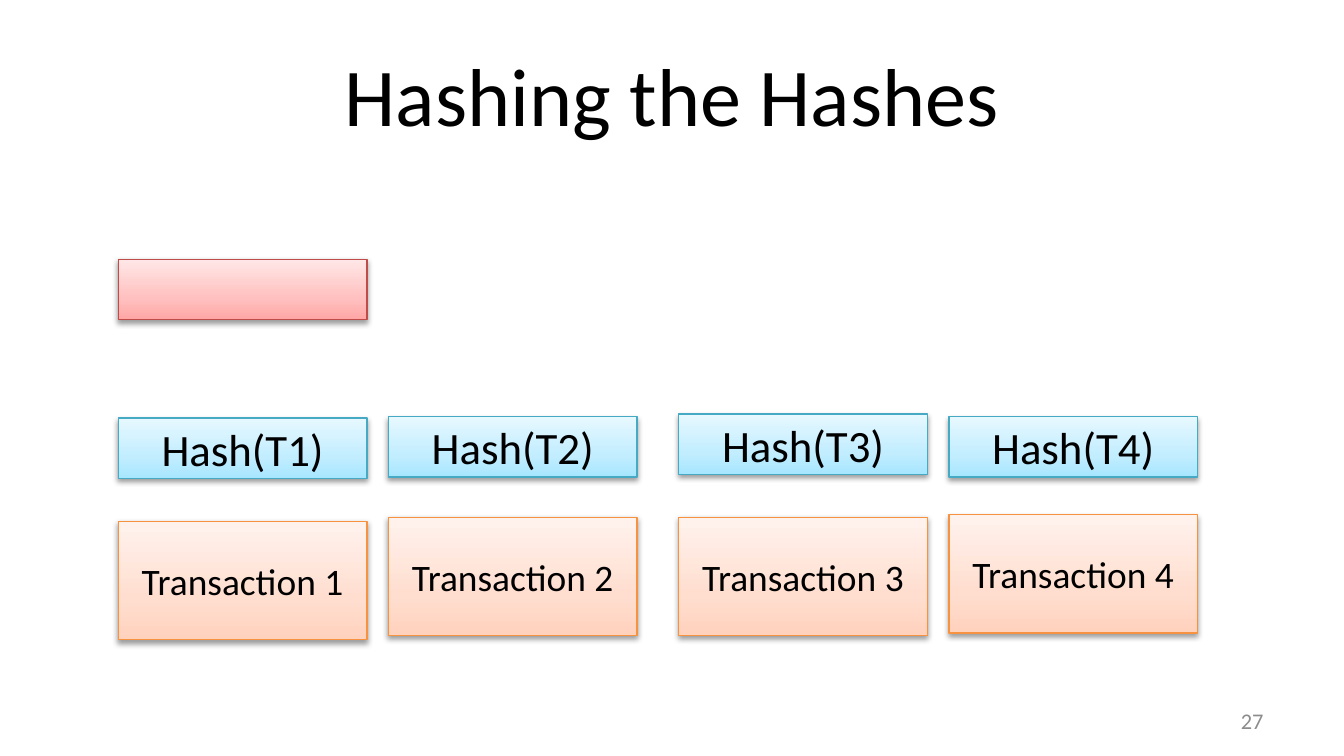
from lxml.etree import SubElement
from pptx import Presentation
from pptx.dml.color import RGBColor
from pptx.enum.shapes import MSO_SHAPE
from pptx.enum.text import MSO_ANCHOR, PP_ALIGN
from pptx.oxml.ns import qn
from pptx.util import Inches, Pt

# Gradient colours run from the bottom of a box to its top
ORANGE = {"stops": ("FFD2BD", "FFDED0", "FFF2ED"), "edge": "F69240"}
BLUE = {"stops": ("A7E6FF", "C1EDFF", "E7F8FF"), "edge": "46AAC5"}
RED = {"stops": ("FFA6A5", "FFC0BF", "FFE7E7"), "edge": "BF4C48"}
STOP_POSITIONS = (0, 35, 100)

SLIDE_WIDTH = 10
COLUMNS = (0.88, 2.89, 5.05, 7.06)
TRANSACTION_TOPS = (3.88, 3.85, 3.85, 3.83)
HASH_TOPS = (3.11, 3.1, 3.08, 3.1)
BOX_WIDTH, TRANSACTION_HEIGHT, HASH_HEIGHT = 1.85, 0.88, 0.45


def rgb(value):
    return RGBColor.from_string(value)


def add_xml(parent, tag, **attributes):
    values = {name: str(value) for name, value in attributes.items()}
    return SubElement(parent, qn(tag), values)


def write_text(shape, text, size, font, color="000000", align=PP_ALIGN.CENTER):
    frame = shape.text_frame
    frame.word_wrap = True
    frame.vertical_anchor = MSO_ANCHOR.MIDDLE
    para = frame.paragraphs[0]
    para.alignment = align
    span = para.add_run()
    span.text = text
    span.font.name = font
    span.font.size = Pt(size)
    span.font.color.rgb = rgb(color)


class SlideBuilder:
    def __init__(self, page, font="Calibri", line_width=0.75):
        self.page = page
        self.font = font
        self.line_width = line_width

    def label(self, text, left, top, width, height, **text_format):
        box = self.page.shapes.add_textbox(
            Inches(left), Inches(top), Inches(width), Inches(height))
        write_text(box, text, font=self.font, **text_format)

    def box(self, left, top, height, style, text="", size=24):
        shape = self.page.shapes.add_shape(
            MSO_SHAPE.RECTANGLE, Inches(left), Inches(top),
            Inches(BOX_WIDTH), Inches(height))
        self.gradient(shape, style["stops"])
        shape.line.color.rgb = rgb(style["edge"])
        shape.line.width = Pt(self.line_width)
        self.shadow(shape)
        if text:
            write_text(shape, text, size, self.font)

    def gradient(self, shape, colors):
        shape.fill.gradient()
        shape.fill.gradient_angle = 90
        stop_list = shape._element.spPr.find(qn("a:gradFill")).find(qn("a:gsLst"))
        for stop in list(stop_list):
            stop_list.remove(stop)
        for position, color in zip(STOP_POSITIONS, colors):
            stop = add_xml(stop_list, "a:gs", pos=position * 1000)
            add_xml(stop, "a:srgbClr", val=color)

    def shadow(self, shape):
        shape.shadow.inherit = False
        effects = shape._element.spPr.find(qn("a:effectLst"))
        outer = add_xml(effects, "a:outerShdw", blurRad=Pt(3.1), dist=Pt(1.6),
                        dir=90 * 60000, rotWithShape=0)
        color = add_xml(outer, "a:srgbClr", val="000000")
        add_xml(color, "a:alpha", val=38000)


def main():
    # Widescreen 16:9 page
    deck = Presentation()
    deck.slide_width = Inches(SLIDE_WIDTH)
    deck.slide_height = Inches(SLIDE_WIDTH * 9 / 16)
    builder = SlideBuilder(deck.slides.add_slide(deck.slide_layouts[6]))

    # Title and page number
    builder.label("Hashing the Hashes", 0.5, 0.23, 9, 0.94, size=44)
    builder.label("27", 7.17, 5.21, 2.33, 0.3, size=12, color="8C8C8C",
                  align=PP_ALIGN.RIGHT)

    # Transactions
    for number, (left, top) in enumerate(zip(COLUMNS, TRANSACTION_TOPS), 1):
        builder.box(left, top, TRANSACTION_HEIGHT, ORANGE, f"Transaction {number}", 20)

    # Hash of each transaction
    for number, (left, top) in enumerate(zip(COLUMNS, HASH_TOPS), 1):
        builder.box(left, top, HASH_HEIGHT, BLUE, f"Hash(T{number})")

    # Empty box for the next level
    builder.box(COLUMNS[0], 1.93, HASH_HEIGHT, RED)

    deck.save("out.pptx")


if __name__ == "__main__":
    main()
